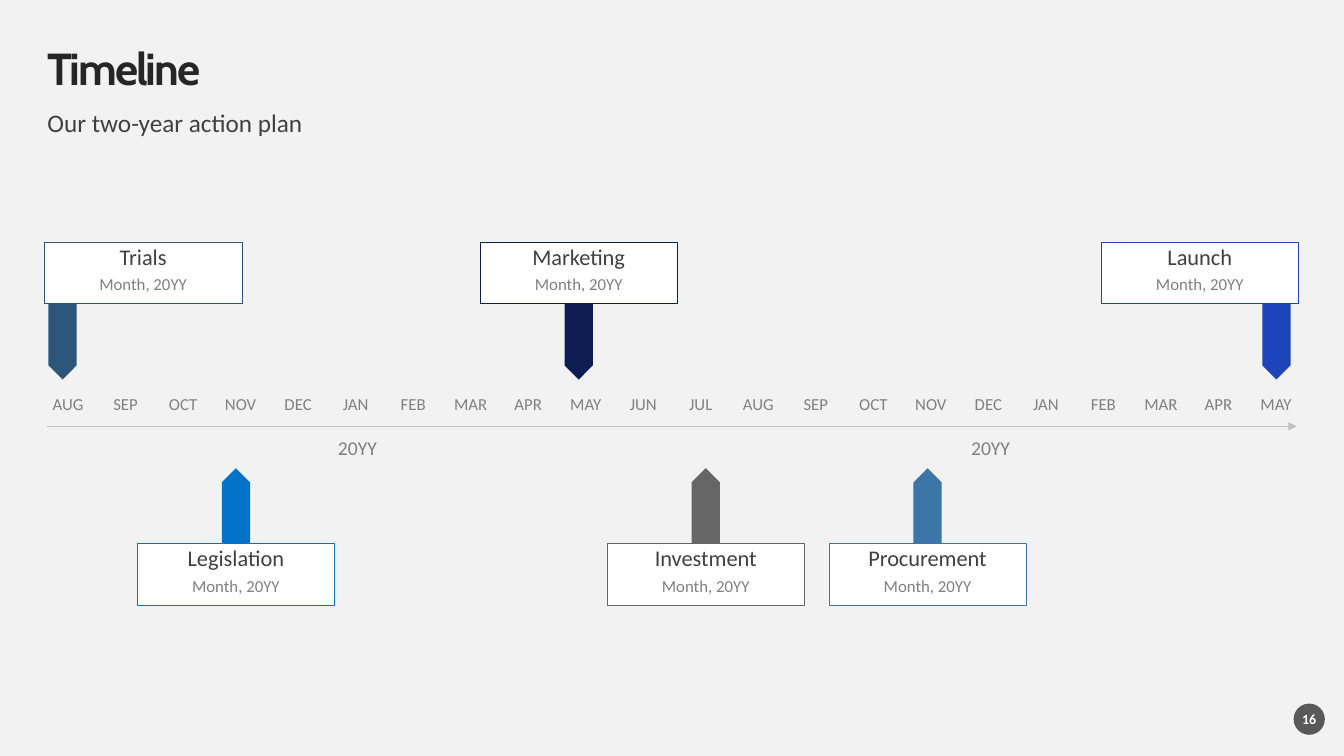
import pptx
import pptx.util
import pptx.dml.color
import pptx.enum.shapes
import pptx.enum.text
import pptx.oxml
import pptx.oxml.ns

Inches = pptx.util.Inches
Pt = pptx.util.Pt
RGB = pptx.dml.color.RGBColor
SHAPE = pptx.enum.shapes.MSO_SHAPE
ALIGN = pptx.enum.text.PP_ALIGN
ANCHOR = pptx.enum.text.MSO_ANCHOR

PAPER = RGB(0xF2, 0xF2, 0xF2)
WHITE = RGB(0xFF, 0xFF, 0xFF)
INK = RGB(0x26, 0x26, 0x26)
DARK = RGB(0x40, 0x40, 0x40)
BADGE = RGB(0x59, 0x59, 0x59)
GREY = RGB(0x80, 0x80, 0x80)
PALE = RGB(0xBF, 0xBF, 0xBF)
STEEL = RGB(0x2C, 0x56, 0x7A)
BLUE = RGB(0x00, 0x72, 0xC7)
NAVY = RGB(0x0D, 0x1D, 0x51)
STONE = RGB(0x66, 0x66, 0x66)
SKY = RGB(0x3C, 0x76, 0xA6)
ROYAL = RGB(0x1E, 0x44, 0xBC)

LEFT, RIGHT, WIDE = 0.47, 12.86, 12.39
MONTHS = ("AUG SEP OCT NOV DEC JAN FEB MAR APR MAY JUN JUL "
          "AUG SEP OCT NOV DEC JAN FEB MAR APR MAY").split()
MONTH_W = 0.41
BOX_W, BOX_H = 1.96, 0.61
DATE_W = 1.85
PIN_L, PIN_W = 0.75, 0.28

# name, box left, pin centre, above the axis, colour
EVENTS = [
    ("Trials", 0.44, 0.62, True, STEEL),
    ("Legislation", 1.36, 2.34, False, BLUE),
    ("Marketing", 4.76, 5.74, True, NAVY),
    ("Investment", 6.02, 7.0, False, STONE),
    ("Procurement", 8.22, 9.2, False, SKY),
    ("Launch", 10.92, 12.66, True, ROYAL),
]


def write(shape, text, size=12, color=GREY, font="Calibri", bold=False,
          align=ALIGN.CENTER, anchor=ANCHOR.TOP, top=0, line=0.9, track=None):
    frame = shape.text_frame
    frame.word_wrap = True
    frame.vertical_anchor = anchor
    frame.margin_left = frame.margin_right = frame.margin_bottom = 0
    frame.margin_top = Inches(top)
    para = frame.paragraphs[0]
    para.alignment = align
    para.line_spacing = line
    run = para.add_run()
    run.text = text
    run.font.size = Pt(size)
    run.font.name = font
    run.font.bold = bold
    run.font.color.rgb = color
    if track is not None:
        run.font._element.set("spc", str(round(track * 100)))


def label(slide, text, x, y, w, h, **style):
    box = slide.shapes.add_textbox(Inches(x), Inches(y), Inches(w), Inches(h))
    write(box, text, **style)


def block(slide, kind, x, y, w, h, fill, edge=None):
    shape = slide.shapes.add_shape(kind, Inches(x), Inches(y), Inches(w), Inches(h))
    shape.shadow.inherit = False
    shape.fill.solid()
    shape.fill.fore_color.rgb = fill
    if edge is None:
        shape.line.fill.background()
    else:
        shape.line.color.rgb = edge
        shape.line.width = Pt(0.25)
    return shape


def axis(slide, y):
    line = slide.shapes.add_connector(
        pptx.enum.shapes.MSO_CONNECTOR.STRAIGHT,
        Inches(LEFT), Inches(y), Inches(RIGHT), Inches(y))
    line.line.color.rgb = PALE
    line.line.width = Pt(0.5)
    make = pptx.oxml.parse_xml
    space = pptx.oxml.ns.nsdecls("a")
    line.line._get_or_add_ln().append(make(f'<a:tailEnd {space} type="triangle"/>'))
    line._element.spPr.append(make(f"<a:effectLst {space}/>"))


def event(slide, name, x, mid, above, color):
    # The pin is a pentagon turned towards the axis
    y, pin_y, turn = (2.4, 3.25, 90) if above else (5.39, 4.88, 270)
    pin = block(slide, SHAPE.PENTAGON, mid - PIN_L / 2, pin_y, PIN_L, PIN_W, color)
    pin.rotation = turn
    card = block(slide, SHAPE.RECTANGLE, x, y, BOX_W, BOX_H, WHITE, color)
    write(card, name, size=16, color=DARK, top=0.04)
    label(slide, "Month, 20YY", x + (BOX_W - DATE_W) / 2, y + 0.34, DATE_W, 0.25)


def main():
    deck = pptx.Presentation()
    deck.slide_width = Inches(13.33)
    deck.slide_height = Inches(7.5)
    slide = deck.slides.add_slide(deck.slide_layouts[6])
    slide.background.fill.solid()
    slide.background.fill.fore_color.rgb = PAPER

    # Heading
    label(slide, "Timeline", LEFT, 0.47, WIDE, 0.47, size=32, color=INK, font="Cabin",
          bold=True, align=ALIGN.LEFT, anchor=ANCHOR.MIDDLE, track=-1.5)
    label(slide, "Our two-year action plan", LEFT, 1.1, WIDE, 0.28, size=18,
          color=DARK, align=ALIGN.LEFT)

    # Axis with months and years
    axis(slide, 4.23)
    step = (WIDE - MONTH_W) / (len(MONTHS) - 1)
    for i, month in enumerate(MONTHS):
        label(slide, month, LEFT + i * step, 3.93, MONTH_W, 0.22)
    for x in (3.32, 9.6):
        label(slide, "20YY", x, 4.35, 0.45, 0.22, size=14, anchor=ANCHOR.MIDDLE)

    # Events
    for item in EVENTS:
        event(slide, *item)

    # Page number
    badge = block(slide, SHAPE.OVAL, 12.83, 6.98, 0.31, 0.31, BADGE)
    write(badge, "16", size=10, color=WHITE, bold=True, anchor=ANCHOR.MIDDLE, line=1.0)

    deck.save("out.pptx")


if __name__ == "__main__":
    main()
